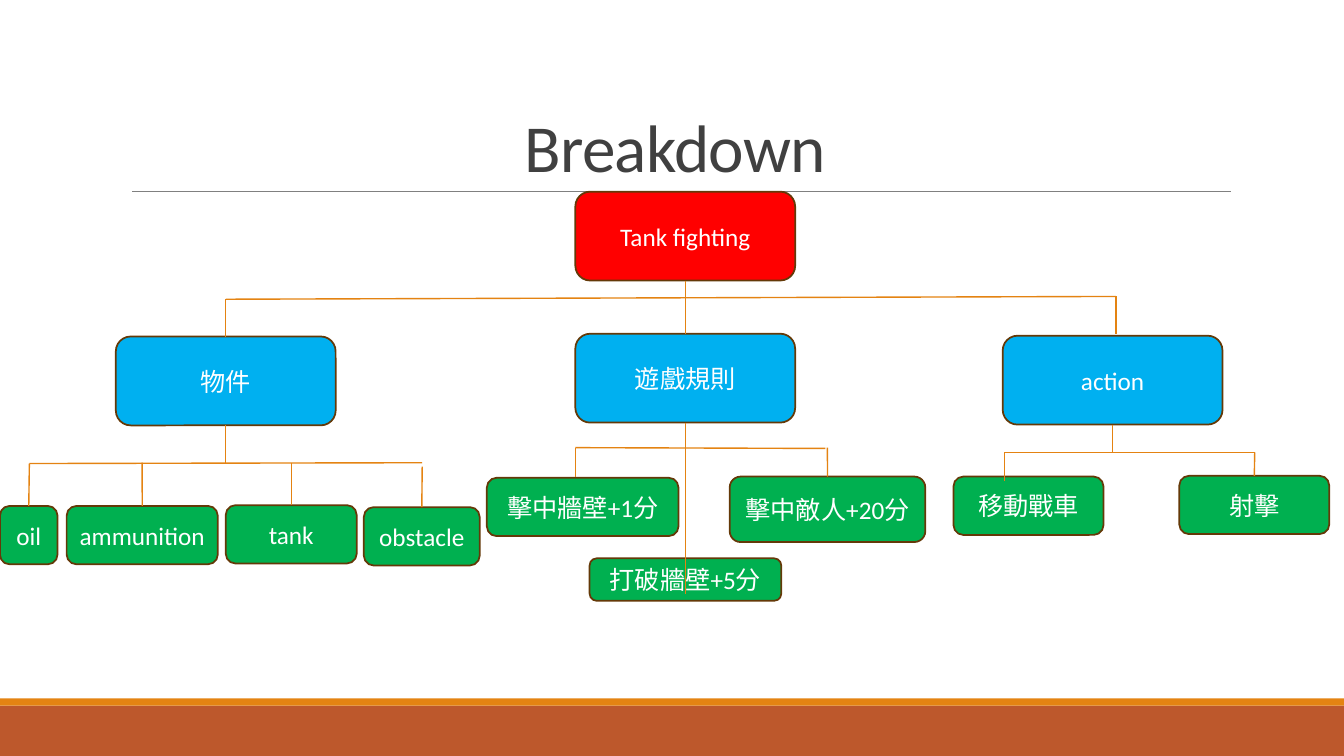
from lxml.etree import SubElement
from pptx import Presentation
from pptx.dml.color import RGBColor
from pptx.enum.shapes import MSO_CONNECTOR, MSO_SHAPE
from pptx.enum.text import MSO_ANCHOR, MSO_AUTO_SIZE, PP_ALIGN
from pptx.oxml.ns import qn
from pptx.util import Cm, Pt

COLORS = {
    "root": "FF0000", "branch": "00B0F0", "leaf": "00B050",
    "outline": "643908", "connector": "E48312", "footer": "BD582C",
    "rule": "808080", "title": "404040", "white": "FFFFFF",
}
TOP, BOTTOM = 0, 2


class BreakdownSlide:
    font_name = "Calibri"

    def __init__(self, presentation):
        self.slide = presentation.slides.add_slide(presentation.slide_layouts[5])

    def color(self, name):
        return RGBColor.from_string(COLORS[name])

    def style_text(self, frame, text, size, color):
        frame.word_wrap = True
        frame.auto_size = MSO_AUTO_SIZE.NONE
        frame.text = text
        paragraph = frame.paragraphs[0]
        paragraph.alignment = PP_ALIGN.CENTER
        paragraph.font.name = self.font_name
        paragraph.font.size = Pt(size)
        paragraph.font.color.rgb = self.color(color)
        return paragraph

    def title(self, text, left, top, width, height):
        shape = self.slide.shapes.title
        shape.left, shape.top = Cm(left), Cm(top)
        shape.width, shape.height = Cm(width), Cm(height)
        paragraph = self.style_text(shape.text_frame, text, 48, "title")
        shape.text_frame.vertical_anchor = MSO_ANCHOR.BOTTOM
        paragraph.line_spacing = 0.85
        paragraph.font._element.set("spc", "-50")

    def shape(self, kind, fill, left, top, width, height):
        shape = self.slide.shapes.add_shape(
            kind, Cm(left), Cm(top), Cm(width), Cm(height))
        shape.shadow.inherit = False
        shape.fill.solid()
        shape.fill.fore_color.rgb = self.color(fill)
        return shape

    def bar(self, fill, top, height):
        shape = self.shape(MSO_SHAPE.RECTANGLE, fill, 0, top, 33.87, height)
        shape.line.fill.background()

    def box(self, text, fill, left, top, width, height):
        shape = self.shape(MSO_SHAPE.ROUNDED_RECTANGLE, fill, left, top, width, height)
        shape.line.color.rgb = self.color("outline")
        shape.line.width = Pt(1.25)
        self.style_text(shape.text_frame, text, 18, "white")
        shape.text_frame.vertical_anchor = MSO_ANCHOR.MIDDLE
        return shape

    def line(self, x1, y1, x2, y2, color="connector", width=1, begin=None, end=None):
        connector = self.slide.shapes.add_connector(
            MSO_CONNECTOR.STRAIGHT, Cm(x1), Cm(y1), Cm(x2), Cm(y2))
        connector.line.color.rgb = self.color(color)
        connector.line.width = Pt(width)
        SubElement(connector._element.spPr, qn("a:effectLst"))
        if begin:
            connector.begin_connect(begin, BOTTOM)
        if end:
            connector.end_connect(end, TOP)


def main():
    presentation = Presentation()
    presentation.slide_width, presentation.slide_height = Cm(33.87), Cm(19.05)
    breakdown = BreakdownSlide(presentation)

    breakdown.bar("footer", 17.78, 1.27)
    breakdown.bar("connector", 17.6, 0.18)
    breakdown.line(3.33, 4.83, 31.01, 4.83, "rule", 0.5)
    breakdown.title("Breakdown", 3.05, 0.79, 27.94, 4.04)

    root = breakdown.box("Tank fighting", "root", 14.5, 4.83, 5.54, 2.24)
    objects, rules, action = [
        breakdown.box(text, "branch", left, top, 5.54, 2.24)
        for text, left, top in [
            ("物件", 2.92, 8.48), ("遊戲規則", 14.5, 8.41), ("action", 25.27, 8.46)]
    ]
    leaves = {
        text: breakdown.box(text, "leaf", left, top, width, height)
        for text, left, top, width, height in [
            ("oil", 0, 12.75, 1.45, 1.47),
            ("ammunition", 1.68, 12.75, 3.81, 1.47),
            ("tank", 5.69, 12.73, 3.3, 1.47),
            ("obstacle", 9.17, 12.78, 2.92, 1.47),
            ("擊中牆壁+1分", 12.27, 12.04, 4.83, 1.47),
            ("擊中敵人+20分", 18.39, 12.01, 4.93, 1.65),
            ("打破牆壁+5分", 14.86, 14.07, 4.83, 1.07),
            ("移動戰車", 24.03, 12.01, 3.78, 1.47),
            ("射擊", 29.72, 11.99, 3.78, 1.47),
        ]
    }

    for x1, y1, x2, y2 in [
        (5.69, 7.54, 28.12, 7.47),
        (0.74, 11.68, 10.64, 11.66),
        (14.5, 11.28, 20.8, 11.3),
        (25.32, 11.4, 31.62, 11.4),
        (28.12, 7.47, 28.12, 8.41),
        (14.5, 11.3, 14.5, 12.01),
        (17.27, 11.28, 17.27, 14.96),
        (25.32, 11.4, 25.32, 12.12),
    ]:
        breakdown.line(x1, y1, x2, y2)

    breakdown.line(17.27, 7.07, 17.27, 8.41, begin=root, end=rules)
    for branch, x, top, bottom in [
        (objects, 5.69, 10.72, 11.68),
        (rules, 17.27, 10.65, 11.3),
        (action, 28.04, 10.7, 11.4),
    ]:
        breakdown.line(x, top, x, bottom, begin=branch)
    for child, x, top, bottom in [
        (objects, 5.69, 7.54, 8.48),
        (leaves["oil"], 0.74, 11.68, 12.75),
        (leaves["ammunition"], 3.58, 11.66, 12.75),
        (leaves["tank"], 7.34, 11.66, 12.73),
        (leaves["obstacle"], 10.64, 11.76, 12.78),
        (leaves["擊中敵人+20分"], 20.85, 11.28, 12.01),
        (leaves["射擊"], 31.62, 11.4, 11.99),
    ]:
        breakdown.line(x, top, x, bottom, end=child)

    presentation.save("out.pptx")


if __name__ == "__main__":
    main()
